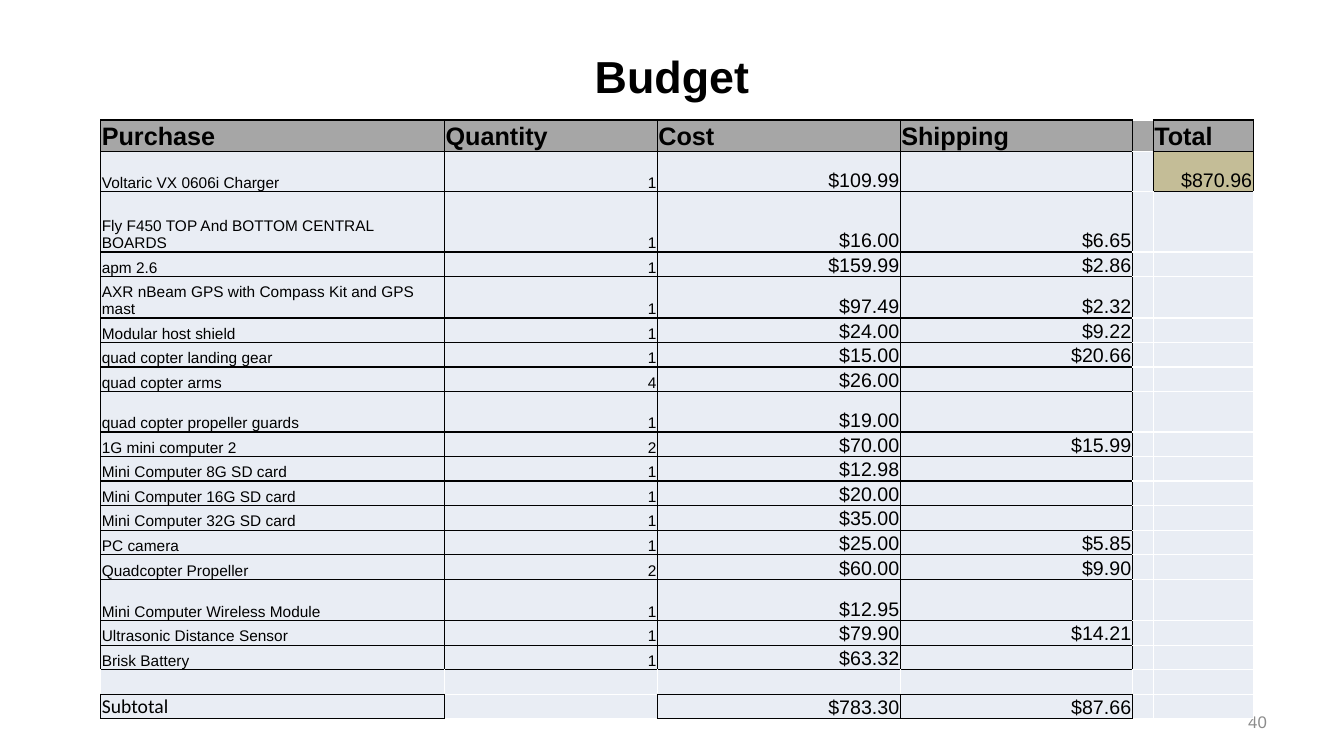
from typing import NamedTuple

from lxml import etree
from pptx import Presentation
from pptx.dml.color import RGBColor
from pptx.enum.text import MSO_ANCHOR, PP_ALIGN
from pptx.oxml.ns import qn
from pptx.util import Inches, Pt

LEFT, CENTER, RIGHT = PP_ALIGN.LEFT, PP_ALIGN.CENTER, PP_ALIGN.RIGHT
MIDDLE, BOTTOM = MSO_ANCHOR.MIDDLE, MSO_ANCHOR.BOTTOM

SLIDE_WIDTH, SLIDE_HEIGHT = 13.33, 7.5
COLORS = {
    "ink": "000000",
    "white": "FFFFFF",
    "header": "A6A6A6",
    "body": "E9EDF4",
    "total": "C4BD97",
    "number": "8C8C8C",
}


class TextStyle(NamedTuple):
    size: int
    color: str = "ink"
    bold: bool = False
    align: PP_ALIGN = LEFT
    font: str = "Arial"


class Label(NamedTuple):
    """A line of text; the box is in shares of the slide's size."""
    text: str
    left: float
    top: float
    width: float
    height: float
    style: TextStyle


class Purchase(NamedTuple):
    item: str
    quantity: str = ""
    cost: str = ""
    shipping: str = ""
    total: str = ""
    height: float = 0.23

    def cells(self) -> list[str]:
        return [self.item, self.quantity, self.cost, self.shipping, "", self.total]


LABELS = [
    Label("Budget", 0.05, 0.04, 0.9, 0.12, TextStyle(32, bold=True, align=CENTER)),
    Label("40", 0.72, 0.93, 0.23, 0.05, TextStyle(12, "number", align=RIGHT)),
]

# Budget rows
ROWS = [
    Purchase("Purchase", "Quantity", "Cost", "Shipping", "Total", 0.25),
    Purchase("Voltaric VX 0606i Charger", "1", "$109.99", "", "$870.96", 0.4),
    Purchase("Fly F450 TOP And BOTTOM CENTRAL BOARDS", "1", "$16.00", "$6.65", height=0.6),
    Purchase("apm 2.6", "1", "$159.99", "$2.86"),
    Purchase("AXR nBeam GPS with Compass Kit and GPS mast", "1", "$97.49", "$2.32", height=0.41),
    Purchase("Modular host shield", "1", "$24.00", "$9.22"),
    Purchase("quad copter landing gear", "1", "$15.00", "$20.66"),
    Purchase("quad copter arms", "4", "$26.00"),
    Purchase("quad copter propeller guards", "1", "$19.00", height=0.4),
    Purchase("1G mini computer 2", "2", "$70.00", "$15.99"),
    Purchase("Mini Computer 8G SD card", "1", "$12.98"),
    Purchase("Mini Computer 16G SD card", "1", "$20.00"),
    Purchase("Mini Computer 32G SD card", "1", "$35.00"),
    Purchase("PC camera", "1", "$25.00", "$5.85"),
    Purchase("Quadcopter Propeller", "2", "$60.00", "$9.90"),
    Purchase("Mini Computer Wireless Module", "1", "$12.95", height=0.41),
    Purchase("Ultrasonic Distance Sensor", "1", "$79.90", "$14.21"),
    Purchase("Brisk Battery", "1", "$63.32"),
    Purchase(""),
    Purchase("Subtotal", "", "$783.30", "$87.66"),
]
COLUMN_WIDTHS = [3.41, 2.11, 2.41, 2.3, 0.21, 0.99]
TABLE_LEFT, TABLE_TOP = 1, 1.19
SHIPPING_COLUMN, TOTAL_COLUMN = 3, 5
SUBTOTAL_ROW = len(ROWS) - 1
EDGES = {"lnL": (0, -1), "lnR": (0, 1), "lnT": (-1, 0), "lnB": (1, 0)}


def rgb(name: str) -> RGBColor:
    return RGBColor.from_string(COLORS[name])


def write(text_frame, text: str, style: TextStyle) -> None:
    text_frame.text = text
    paragraph = text_frame.paragraphs[0]
    paragraph.alignment = style.align
    for run in paragraph.runs:
        run.font.name = style.font
        run.font.size = Pt(style.size)
        run.font.bold = style.bold
        run.font.color.rgb = rgb(style.color)


def add_label(slide, label: Label) -> None:
    box = slide.shapes.add_textbox(
        Inches(label.left * SLIDE_WIDTH), Inches(label.top * SLIDE_HEIGHT),
        Inches(label.width * SLIDE_WIDTH), Inches(label.height * SLIDE_HEIGHT))
    box.text_frame.word_wrap = True
    box.text_frame.vertical_anchor = MIDDLE
    write(box.text_frame, label.text, label.style)


def is_boxed(row: int, column: int) -> bool:
    """Cells with a value, and the whole shipping list, are outlined."""
    if not (0 <= row < len(ROWS) and 0 <= column < len(COLUMN_WIDTHS)):
        return False
    in_shipping_list = column == SHIPPING_COLUMN and row < SUBTOTAL_ROW - 1
    return in_shipping_list or bool(ROWS[row].cells()[column])


def cell_style(row: int, column: int) -> TextStyle:
    if row == 0:
        return TextStyle(18, bold=True)
    if row == SUBTOTAL_ROW and column == 0:
        return TextStyle(14, font="Calibri")
    return TextStyle(11 if column < 2 else 14, align=RIGHT if column else LEFT)


def cell_fill(row: int, column: int) -> str:
    if row == 0:
        return "header"
    return "total" if (row, column) == (1, TOTAL_COLUMN) else "body"


def set_borders(cell, row: int, column: int) -> None:
    properties = cell._tc.get_or_add_tcPr()
    for index, (edge, (down, across)) in enumerate(EDGES.items()):
        dark = is_boxed(row, column) or is_boxed(row + down, column + across)
        line = etree.Element(qn(f"a:{edge}"), w=str(Pt(1)))
        fill = etree.SubElement(line, qn("a:solidFill"))
        etree.SubElement(fill, qn("a:srgbClr"), val=COLORS["ink" if dark else "white"])
        properties.insert(index, line)


def set_empty_size(cell, size: int) -> None:
    """Keep an empty cell from stretching its row."""
    paragraph = cell.text_frame.paragraphs[0]._p
    end = etree.SubElement(paragraph, qn("a:endParaRPr"), sz=str(size * 100))
    etree.SubElement(end, qn("a:latin"), typeface="Calibri")


def add_budget_table(slide) -> None:
    table = slide.shapes.add_table(
        len(ROWS), len(COLUMN_WIDTHS), Inches(TABLE_LEFT), Inches(TABLE_TOP),
        Inches(sum(COLUMN_WIDTHS)), Inches(sum(row.height for row in ROWS))).table
    table.first_row = table.horz_banding = False
    for column, width in zip(table.columns, COLUMN_WIDTHS):
        column.width = Inches(width)
    for row, purchase in enumerate(ROWS):
        table.rows[row].height = Inches(purchase.height)
        for column, text in enumerate(purchase.cells()):
            cell = table.cell(row, column)
            cell.margin_left = cell.margin_right = cell.margin_top = Inches(0.01)
            cell.margin_bottom = 0
            cell.vertical_anchor = BOTTOM
            cell.fill.solid()
            cell.fill.fore_color.rgb = rgb(cell_fill(row, column))
            set_borders(cell, row, column)
            if text:
                write(cell.text_frame, text, cell_style(row, column))
            else:
                set_empty_size(cell, 18 if row == 0 else 14)


def main() -> None:
    presentation = Presentation()
    presentation.slide_width = Inches(SLIDE_WIDTH)
    presentation.slide_height = Inches(SLIDE_HEIGHT)
    slide = presentation.slides.add_slide(presentation.slide_layouts[6])

    # Title and page number lie behind the table
    for label in LABELS:
        add_label(slide, label)
    add_budget_table(slide)
    presentation.save("out.pptx")


if __name__ == "__main__":
    main()
